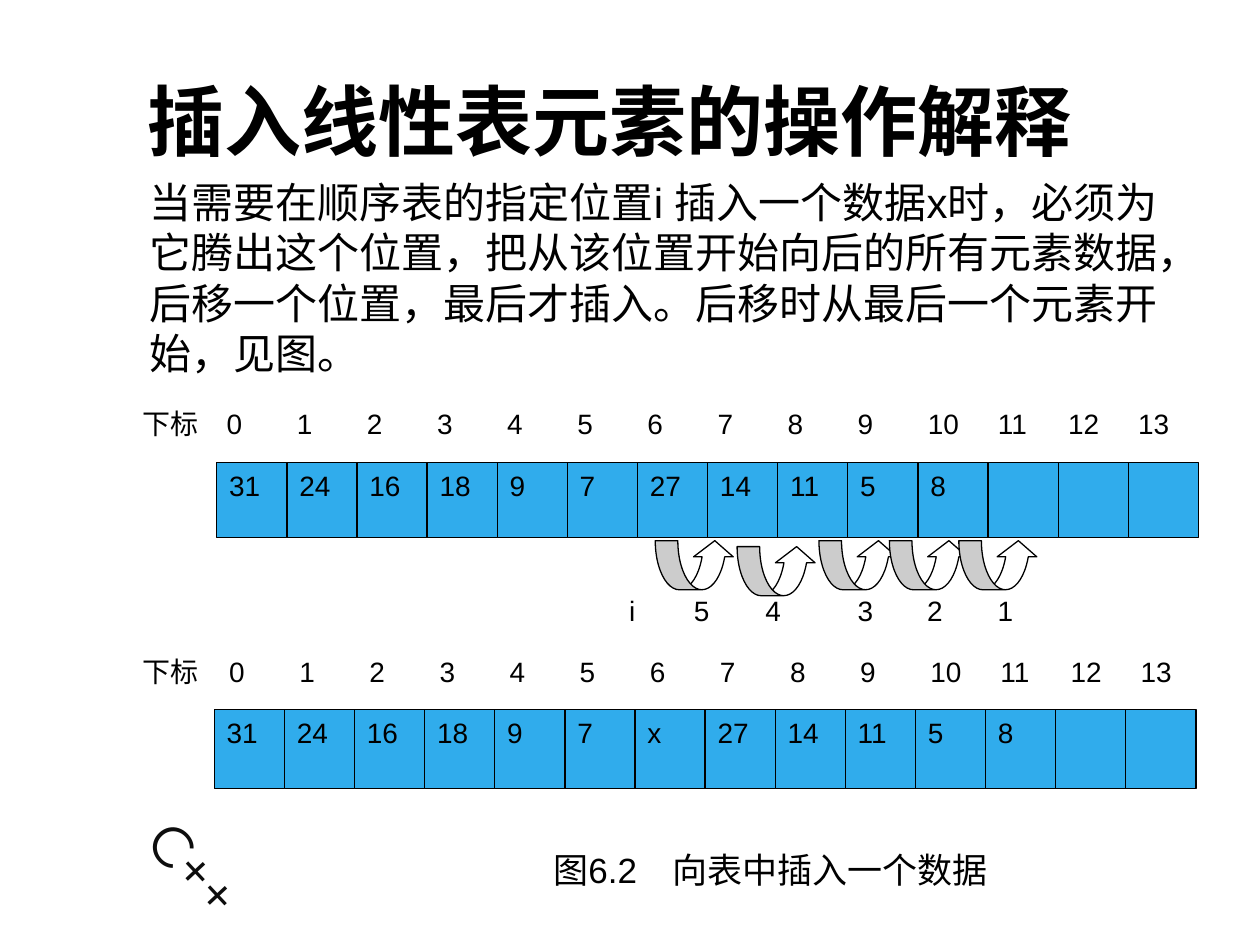
from dataclasses import dataclass
from typing import Sequence

from pptx import Presentation
from pptx.dml.color import RGBColor
from pptx.enum.shapes import MSO_SHAPE as Shape
from pptx.enum.text import MSO_ANCHOR as Anchor, PP_ALIGN as Align
from pptx.util import Cm, Pt

BLACK, WHITE, BLUE = "000000", "FFFFFF", "30ACEC"
COLUMNS = 14
PITCH = 19.79 / COLUMNS  # width of one array cell, in cm


@dataclass
class ArrayRow:
    """One state of the list: indices above, cells below (cm)."""
    values: Sequence[str]
    index_left: float
    index_top: float
    index_height: float
    cell_left: float
    cell_top: float
    cell_height: float


@dataclass
class Move:
    """A numbered shift of one element to the right (cm)."""
    number: str
    label_left: float
    arrow_left: float
    arrow_top: float = 10.9


ROWS = [
    ArrayRow("31 24 16 18 9 7 27 14 11 5 8".split(),
             4.32, 8.08, 1.19, 4.37, 9.32, 1.52),
    ArrayRow("31 24 16 18 9 7 x 27 14 11 5 8".split(),
             4.37, 13.08, 1.27, 4.32, 14.3, 1.6),
]
MOVES = [
    Move("5", 13.44, 13.21),
    Move("4", 14.88, 14.86, 11.02),
    Move("3", 16.74, 16.51),
    Move("2", 18.14, 17.93),
    Move("1", 19.56, 19.33),
]


def color(value: str) -> RGBColor:
    return RGBColor.from_string(value)


def write(shape, text: str, *, size: float = 16, font: str = "Arial",
          fill: str = BLACK, bold: bool = False, align=Align.LEFT,
          anchor=Anchor.TOP) -> None:
    frame = shape.text_frame
    frame.word_wrap = True
    frame.vertical_anchor = anchor
    paragraph = frame.paragraphs[0]
    paragraph.alignment = align
    run = paragraph.add_run()
    run.text = text
    run.font.size = Pt(size)
    run.font.name = font
    run.font.bold = bold
    run.font.color.rgb = color(fill)


def add_text(slide, text: str, left: float, top: float, width: float,
             height: float, **text_format):
    box = slide.shapes.add_textbox(Cm(left), Cm(top), Cm(width), Cm(height))
    write(box, text, **text_format)
    return box


def add_figure(slide, kind, left: float, top: float, width: float,
               height: float, fill: str):
    shape = slide.shapes.add_shape(kind, Cm(left), Cm(top), Cm(width), Cm(height))
    shape.shadow.inherit = False
    shape.fill.solid()
    shape.fill.fore_color.rgb = color(fill)
    shape.line.color.rgb = color(BLACK)
    shape.line.width = Pt(0.75)
    return shape


def draw_row(slide, row: ArrayRow) -> None:
    add_text(slide, "下标", 2.62, row.index_top, 2.36, row.index_height,
             align=Align.JUSTIFY)
    for column in range(COLUMNS):
        offset = column * PITCH
        add_text(slide, str(column), row.index_left + offset, row.index_top,
                 PITCH, row.index_height, align=Align.JUSTIFY)
        cell = add_figure(slide, Shape.RECTANGLE, row.cell_left + offset,
                          row.cell_top, PITCH, row.cell_height, BLUE)
        if column < len(row.values):
            write(cell, row.values[column], align=Align.JUSTIFY)


def draw_step_label(slide, text: str, left: float) -> None:
    add_text(slide, text, left, 11.84, PITCH, 1.07, align=Align.CENTER)


def draw_move(slide, move: Move) -> None:
    arrow = add_figure(slide, Shape.CURVED_UP_ARROW, move.arrow_left,
                       move.arrow_top, 1.6, 0.99, WHITE)
    for position, value in enumerate((0.46, 0.92, 0.33)):
        arrow.adjustments[position] = value
    draw_step_label(slide, move.number, move.label_left)


def main() -> None:
    presentation = Presentation()
    presentation.slide_width, presentation.slide_height = Cm(25.4), Cm(19.05)
    slide = presentation.slides.add_slide(presentation.slide_layouts[5])

    # Corner mark
    mark = add_text(slide, "C++", 2.39, 17.22, 4.09, 1.63, size=32,
                    font="Montserrat", fill="0D0D0D")
    mark.rotation = 46.9

    # Title and explanation
    title = slide.shapes.title
    title.left, title.top = Cm(2.72), Cm(0.74)
    title.width, title.height = Cm(21.41), Cm(3.35)
    write(title, "插入线性表元素的操作解释", size=44, bold=True,
          anchor=Anchor.MIDDLE)
    add_text(slide, "当需要在顺序表的指定位置i 插入一个数据x时，必须为它腾出这个位置，"
             "把从该位置开始向后的所有元素数据，后移一个位置，最后才插入。"
             "后移时从最后一个元素开始，见图。", 2.77, 3.43, 21.46, 4.37, size=24)

    # List before and after the insertion
    for row in ROWS:
        draw_row(slide, row)

    # Shifts between the two states
    draw_step_label(slide, "i", 12.04)
    for move in MOVES:
        draw_move(slide, move)

    # Caption
    add_text(slide, "图6.2　向表中插入一个数据", 9.4, 16.99, 12.27, 1.19,
             size=20, align=Align.CENTER)

    presentation.save("out.pptx")


if __name__ == "__main__":
    main()
